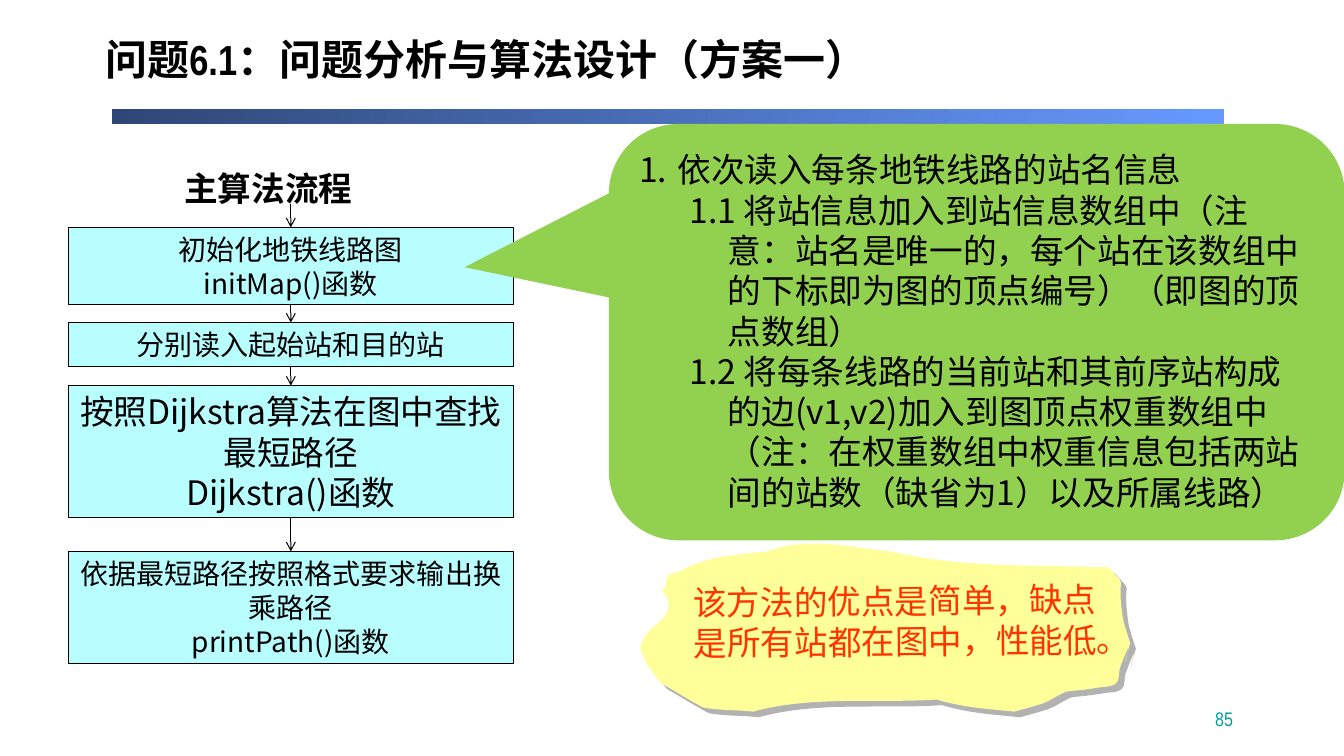
from lxml import etree
from pptx import Presentation
from pptx.dml.color import RGBColor
from pptx.enum.dml import MSO_THEME_COLOR
from pptx.enum.shapes import MSO_CONNECTOR, MSO_SHAPE
from pptx.enum.text import MSO_ANCHOR, PP_ALIGN
from pptx.oxml.ns import qn
from pptx.util import Inches, Pt

WIDE, HIGH = Inches(13.33), Inches(7.5)
CJK, NARROW = "Noto Sans CJK SC", "Arial Narrow"
RECT, CALL = MSO_SHAPE.RECTANGLE, MSO_SHAPE.ROUNDED_RECTANGULAR_CALLOUT
LEFT, MID, RIGHT = PP_ALIGN.LEFT, PP_ALIGN.CENTER, PP_ALIGN.RIGHT
TOP, CENTER, BASE = MSO_ANCHOR.TOP, MSO_ANCHOR.MIDDLE, MSO_ANCHOR.BOTTOM
STRAIGHT = MSO_CONNECTOR.STRAIGHT

BLACK = RGBColor(0x00, 0x00, 0x00)
NAVY = RGBColor(0x2F, 0x47, 0x76)
BLUE = RGBColor(0x66, 0x99, 0xFF)
TEAL = RGBColor(0x00, 0x9E, 0xA1)
CYAN = RGBColor(0xB9, 0xFE, 0xFF)
GREEN = RGBColor(0x92, 0xD0, 0x50)
YELLOW = RGBColor(0xFF, 0xFF, 0x99)
GREY = RGBColor(0xB2, 0xB2, 0xB2)
RED = RGBColor(0xFF, 0x33, 0x00)

# Flow boxes: top and height in percent of the slide, text size, lines
BOX_LEFT, BOX_WIDE, FLOW_TOP = 5.1, 33.08, 26.93
STEPS = [
    (30.07, 10.27, 20, ["初始化地铁线路图", "initMap()函数"]),
    (42.67, 5.87, 20, ["分别读入起始站和目的站"]),
    (51, 17.47, 24, ["按照Dijkstra算法在图中查找最短路径", "Dijkstra()函数"]),
    (72.93, 14.8, 20, ["依据最短路径按照格式要求输出换乘路径", "printPath()函数"]),
]

# Level and text of each point in the callout
POINTS = [
    (0, "依次读入每条地铁线路的站名信息"),
    (1, "1.1 将站信息加入到站信息数组中（注意：站名是唯一的，每个站在该数组中的"
        "下标即为图的顶点编号）（即图的顶点数组）"),
    (1, "1.2 将每条线路的当前站和其前序站构成的边(v1,v2)加入到图顶点权重数组中"
        "（注：在权重数组中权重信息包括两站间的站数（缺省为1）以及所属线路）"),
]

# Torn note outline in hundredths of an inch: two handles and an end per curve
START = (660, 583)
CURVES = [
    (661, 579, 660, 574, 663, 571), (666, 568, 670, 569, 674, 567),
    (703, 551, 727, 551, 761, 547), (803, 532, 842, 543, 883, 547),
    (954, 564, 1028, 560, 1100, 563), (1121, 587, 1106, 564, 1114, 615),
    (1116, 623, 1121, 638, 1121, 638), (1106, 690, 1131, 609, 1111, 662),
    (1109, 667, 1111, 675, 1107, 678), (1102, 682, 1096, 681, 1090, 682),
    (1079, 684, 1069, 685, 1058, 686), (1050, 689, 1042, 695, 1034, 698),
    (1025, 701, 1006, 706, 1006, 706), (977, 703, 956, 702, 929, 694),
    (870, 698, 804, 690, 747, 706), (731, 704, 714, 705, 698, 702),
    (696, 702, 660, 680, 656, 678), (646, 666, 640, 658, 635, 643),
    (640, 625, 648, 624, 660, 611), (661, 607, 664, 603, 663, 599),
    (660, 580, 651, 592, 660, 583),
]


def area(x, y, wide, high):
    """Turn percent of the slide into lengths."""
    return (int(WIDE * x / 100), int(HIGH * y / 100),
            int(WIDE * wide / 100), int(HIGH * high / 100))


def shadow(parent, color, dist):
    """Add a hard shadow towards the lower right."""
    shade = etree.SubElement(parent, qn("a:outerShdw"), dist=str(Pt(dist)),
                             dir="2700000", algn="ctr", rotWithShape="0")
    etree.SubElement(shade, qn("a:srgbClr"), val=str(color))


def write(shape, lines, size, color=BLACK, face=CJK, bold=False,
          align=LEFT, anchor=CENTER):
    frame = shape.text_frame
    frame.word_wrap = True
    frame.vertical_anchor = anchor
    for i, line in enumerate(lines):
        para = frame.add_paragraph() if i else frame.paragraphs[0]
        para.alignment = align
        run = para.add_run()
        run.text = line
        font = run.font
        font.size, font.bold, font.name = Pt(size), bold, face
        font.color.rgb = color
        etree.SubElement(font._element, qn("a:ea"), typeface=CJK)
    return frame.paragraphs


def label(slide, spot, text, size, **look):
    box = slide.shapes.add_textbox(*area(*spot))
    return box, write(box, [text], size, **look)[0]


def block(slide, kind, spot, fill, edge=None):
    shape = slide.shapes.add_shape(kind, *area(*spot))
    shape.shadow.inherit = False
    shape.fill.solid()
    shape.fill.fore_color.rgb = fill
    if edge is None:
        shape.line.fill.background()
    else:
        shape.line.color.rgb = edge
        shape.line.width = Pt(0.75)
    return shape


def bar(slide):
    fill = block(slide, RECT, (8.33, 14.4, 82.73, 2), BLUE).fill
    fill.gradient()
    fill.gradient_angle = 0
    for stop, color in zip(fill.gradient_stops, (NAVY, BLUE)):
        stop.color.theme_color = MSO_THEME_COLOR.ACCENT_1
        stop.color.rgb = color


def arrow(slide, last, box):
    """Point at the top of box, from the bottom of last or the flow's start."""
    mid = box.left + box.width // 2
    link = slide.shapes.add_connector(
        STRAIGHT, mid, int(HIGH * FLOW_TOP / 100), mid, box.top)
    if last is not None:
        link.begin_connect(last, 2)
    link.end_connect(box, 0)
    link.line.color.rgb = BLACK
    link.line.width = Pt(0.75)
    etree.SubElement(link.line._get_or_add_ln(), qn("a:tailEnd"), type="arrow")
    etree.SubElement(link._element.spPr, qn("a:effectLst"))


def flow(slide):
    label(slide, (12.98, 21.6, 14.63, 6.67), "主算法流程", 24, bold=True, anchor=TOP)
    last = None
    for top, high, size, lines in STEPS:
        box = block(slide, RECT, (BOX_LEFT, top, BOX_WIDE, high), CYAN, BLACK)
        write(box, lines, size, align=MID)
        arrow(slide, last, box)
        last = box


def callout(slide):
    shape = block(slide, CALL, (45.3, 16.4, 54.75, 55.07), GREEN)
    for i, share in enumerate((-0.696, -0.156, 0.167)):
        shape.adjustments[i] = share
    paras = write(shape, [text for _, text in POINTS], 24)
    shape.text_frame.margin_bottom = Inches(0.08)
    for para, (level, _) in zip(paras, POINTS):
        para.level = level
        props = para._p.get_or_add_pPr()
        props.set("marL", str(Inches(0.38 + 0.5 * level)))
        props.set("indent", str(-Inches(0.38)))
        props.set("hangingPunct", "0")
        if level == 0:
            etree.SubElement(props, qn("a:buAutoNum"), type="arabicPeriod")


def bend(shape):
    """Join each three straight segments of an outline into one curve."""
    lines = list(shape._element.iter(qn("a:lnTo")))
    for trio in zip(lines[::3], lines[1::3], lines[2::3]):
        curve = etree.Element(qn("a:cubicBezTo"))
        trio[0].addprevious(curve)
        for line in trio:
            curve.append(line[0])
            line.getparent().remove(line)


def note(slide):
    pen = slide.shapes.build_freeform(*START, scale=Inches(0.01))
    for curve in CURVES:
        pen.add_line_segments(zip(curve[::2], curve[1::2]), close=False)
    paper = pen.convert_to_shape()
    bend(paper)
    paper.fill.solid()
    paper.fill.fore_color.rgb = YELLOW
    paper.line.fill.background()
    shadow(etree.SubElement(paper._element.spPr, qn("a:effectLst")), GREY, 5.7)
    box, para = label(slide, (50.85, 76.13, 31.65, 12.13),
                      "该方法的优点是简单，缺点是所有站都在图中，性能低。",
                      24, color=RED, face=NARROW, anchor=TOP)
    box.rotation = 359.5
    effect = etree.Element(qn("a:effectLst"))
    para.runs[0].font._element.find(qn("a:solidFill")).addnext(effect)
    shadow(effect, BLACK, 1)


def main():
    deck = Presentation()
    deck.slide_width, deck.slide_height = WIDE, HIGH
    slide = deck.slides.add_slide(deck.slide_layouts[6])
    bar(slide)
    _, title = label(slide, (7.1, 2.27, 89.55, 12.27),
                     "问题6.1：问题分析与算法设计（方案一）",
                     30, face=NARROW, bold=True)
    title.line_spacing = 0.8
    label(slide, (73.58, 90.9, 18.9, 6.4), "85", 14, color=TEAL, face=NARROW,
          align=RIGHT, anchor=BASE)
    flow(slide)
    callout(slide)
    note(slide)
    deck.save("out.pptx")


if __name__ == "__main__":
    main()
